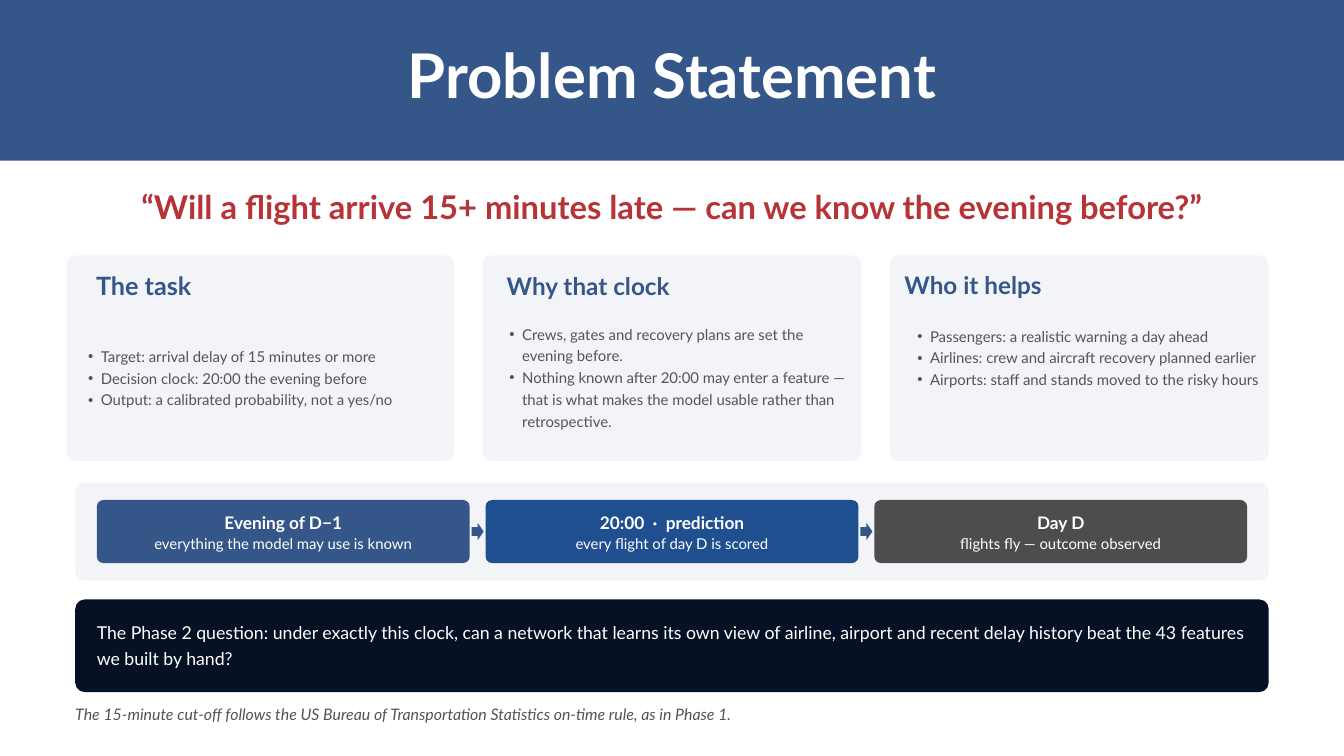
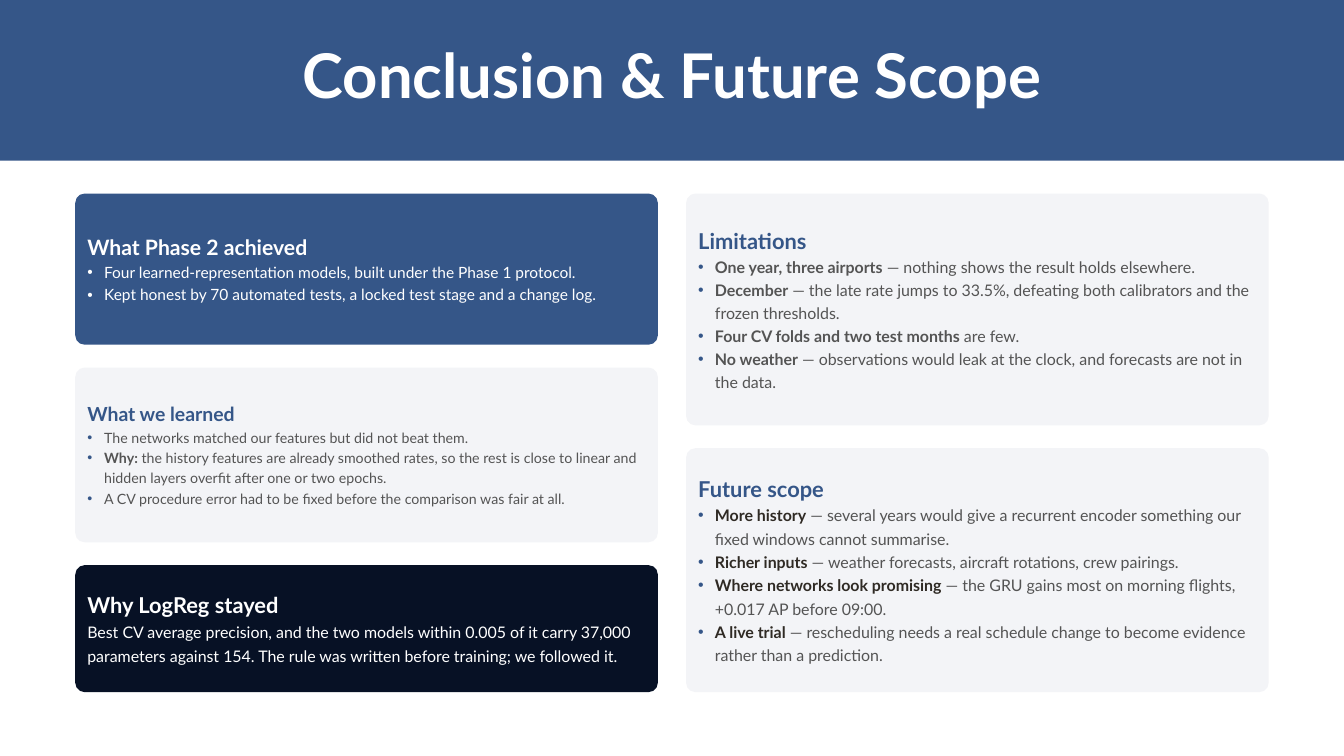
from dataclasses import dataclass, replace
from typing import NamedTuple, Optional

from lxml import etree
from pptx import Presentation
from pptx.dml.color import RGBColor
from pptx.enum.shapes import MSO_SHAPE
from pptx.enum.text import MSO_ANCHOR, MSO_AUTO_SIZE, PP_ALIGN
from pptx.oxml.ns import qn
from pptx.util import Inches, Pt

RECTANGLE = MSO_SHAPE.RECTANGLE
ROUNDED = MSO_SHAPE.ROUNDED_RECTANGLE
ARROW = MSO_SHAPE.RIGHT_ARROW
TOP, MIDDLE = MSO_ANCHOR.TOP, MSO_ANCHOR.MIDDLE
LEFT, CENTER = PP_ALIGN.LEFT, PP_ALIGN.CENTER
NO_FIT = MSO_AUTO_SIZE.NONE

FONT = "Lato"
COLORS = {
    "blue": "355688",
    "deep_blue": "1F4F8F",
    "navy": "071125",
    "charcoal": "4D4D4D",
    "pale": "F3F4F7",
    "white": "FFFFFF",
    "red": "B63338",
    "gray": "545454",
    "ink": "2F2A24",
}
COMPARISON_LAYOUT = 4
MARGIN = 1.12
CONTENT_WIDTH = 17.76
CARD_RADIUS = 0.14


class Box(NamedTuple):
    left: float
    top: float
    width: float
    height: float

    def lengths(self):
        return [Inches(value) for value in self]


@dataclass(frozen=True)
class Style:
    size: float
    leading: float
    color: str
    bold: bool = False
    italic: bool = False
    align: PP_ALIGN = LEFT


@dataclass(frozen=True)
class Bullet:
    margin: float
    hang: float
    level: int = 0
    color: Optional[str] = None


@dataclass(frozen=True)
class Line:
    """A paragraph: an optional bold lead-in, then the text."""
    text: str
    style: Style
    bullet: Optional[Bullet] = None
    lead: str = ""
    lead_color: str = "gray"


class Topic(NamedTuple):
    card: Box
    heading: str
    heading_box: Box
    heading_style: Style
    list_box: Box
    points: list[str]


class Step(NamedTuple):
    when: str
    what: str
    fill: str


class Panel(NamedTuple):
    heading: str
    height: float
    fill: str
    heading_style: Style
    body_style: Style
    points: list[tuple[str, str]]
    lead_color: str = "gray"
    bulleted: bool = True


TITLE = Style(66, 85.5, "white", bold=True, align=CENTER)
QUESTION = Style(35, 51.2, "red", bold=True, align=CENTER)
TOPIC_HEADING = Style(26, 38.1, "blue", bold=True)
TOPIC_POINT = Style(16, 23.4, "gray")
STEP_WHEN = Style(18.5, 24, "white", bold=True, align=CENTER)
STEP_WHAT = Style(16, 20.7, "white", align=CENTER)
CLOSING = Style(19, 27.8, "white")
FOOTNOTE = Style(17, 23.5, "gray", italic=True)
PANEL_HEADING = Style(23.4, 30.9, "blue", bold=True)
PANEL_BODY = Style(17.1, 25, "gray")
TOPIC_BULLET = Bullet(margin=0.38, hang=0.19, level=1)

TOPICS = [
    Topic(Box(0.99, 3.8, 5.77, 3.06), "The task", Box(1.43, 3.92, 2, 0.56),
          replace(TOPIC_HEADING, size=27, leading=39.5), Box(1.12, 5.11, 5.12, 0.97),
          ["Target: arrival delay of 15 minutes or more",
           "Decision clock: 20:00 the evening before",
           "Output: a calibrated probability, not a yes/no"]),
    Topic(Box(7.18, 3.8, 5.64, 3.06), "Why that clock", Box(7.54, 3.94, 3, 0.54),
          TOPIC_HEADING, Box(7.39, 4.78, 5.21, 1.62),
          ["Crews, gates and recovery plans are set the evening before.",
           "Nothing known after 20:00 may enter a feature — that is what makes the model "
           "usable rather than retrospective."]),
    Topic(Box(13.24, 3.8, 5.64, 3.06), "Who it helps", Box(13.46, 3.93, 3, 0.54),
          TOPIC_HEADING, Box(13.46, 4.81, 5.35, 1.62),
          ["Passengers: a realistic warning a day ahead",
           "Airlines: crew and aircraft recovery planned earlier",
           "Airports: staff and stands moved to the risky hours"]),
]

STEPS = [
    Step("Evening of D−1", "everything the model may use is known", "blue"),
    Step("20:00  ·  prediction", "every flight of day D is scored", "deep_blue"),
    Step("Day D", "flights fly — outcome observed", "charcoal"),
]

RESULTS = [
    Panel("What Phase 2 achieved", 2.25, "blue",
          Style(22.7, 30, "white", bold=True), Style(16.6, 23.9, "white"),
          [("", "Four learned-representation models, built under the Phase 1 protocol."),
           ("", "Kept honest by 70 automated tests, a locked test stage and a change log.")]),
    Panel("What we learned", 2.6, "pale",
          Style(20.8, 27.4, "blue", bold=True), Style(15.2, 21.9, "gray"),
          [("", "The networks matched our features but did not beat them."),
           ("Why:", " the history features are already smoothed rates, so the rest is close "
            "to linear and hidden layers overfit after one or two epochs."),
           ("", "A CV procedure error had to be fixed before the comparison was fair at all.")]),
    Panel("Why LogReg stayed", 1.89, "navy",
          replace(PANEL_HEADING, color="white"), Style(17.1, 25.9, "white"),
          [("", "Best CV average precision, and the two models within 0.005 of it carry 37,000 "
            "parameters against 154. The rule was written before training; we followed it.")],
          bulleted=False),
]

OUTLOOK = [
    Panel("Limitations", 3.45, "pale", PANEL_HEADING, replace(PANEL_BODY, leading=24.6),
          [("One year, three airports", " — nothing shows the result holds elsewhere."),
           ("December", " — the late rate jumps to 33.5%, defeating both calibrators and the "
            "frozen thresholds."),
           ("Four CV folds and two test months", " are few."),
           ("No weather", " — observations would leak at the clock, and forecasts are not in "
            "the data.")]),
    Panel("Future scope", 3.63, "pale", PANEL_HEADING, PANEL_BODY,
          [("More history", " — several years would give a recurrent encoder something our "
            "fixed windows cannot summarise."),
           ("Richer inputs", " — weather forecasts, aircraft rotations, crew pairings."),
           ("Where networks look promising", " — the GRU gains most on morning flights, "
            "+0.017 AP before 09:00."),
           ("A live trial", " — rescheduling needs a real schedule change to become evidence "
            "rather than a prediction.")],
          lead_color="ink"),
]


def rgb(name: str) -> RGBColor:
    return RGBColor.from_string(COLORS[name])


def set_bullet(paragraph, bullet: Optional[Bullet]) -> None:
    """Gives the paragraph its bullet and indent, or clears inherited ones."""
    properties = paragraph._p.get_or_add_pPr()
    margin, hang = (bullet.margin, bullet.hang) if bullet else (0, 0)
    properties.set("marL", str(Inches(margin)))
    properties.set("indent", str(-Inches(hang)))
    if bullet is None:
        etree.SubElement(properties, qn("a:buNone"))
        return
    paragraph.level = bullet.level
    if bullet.color:
        color = etree.SubElement(properties, qn("a:buClr"))
        etree.SubElement(color, qn("a:srgbClr"), val=COLORS[bullet.color])
    etree.SubElement(properties, qn("a:buFont"), typeface="Arial")
    etree.SubElement(properties, qn("a:buChar"), char="•")


def write(frame, lines: list[Line], inset: float = 0, anchor: MSO_ANCHOR = TOP) -> None:
    frame.word_wrap = True
    frame.auto_size = NO_FIT
    frame.vertical_anchor = anchor
    frame.margin_left = frame.margin_right = Inches(inset)
    frame.margin_top = frame.margin_bottom = Inches(inset)
    for index, line in enumerate(lines):
        paragraph = frame.add_paragraph() if index else frame.paragraphs[0]
        style = line.style
        set_bullet(paragraph, line.bullet)
        paragraph.alignment = style.align
        paragraph.line_spacing = Pt(style.leading)
        paragraph.space_before = Pt(0)
        font = paragraph.font
        font.name, font.size = FONT, Pt(style.size)
        font.bold, font.italic = style.bold, style.italic
        font.color.rgb = rgb(style.color)
        if line.lead:
            lead = paragraph.add_run()
            lead.text = line.lead
            lead.font.bold = True
            lead.font.color.rgb = rgb(line.lead_color)
        paragraph.add_run().text = line.text


def add_filled(slide, kind: MSO_SHAPE, box: Box, fill: str, radius: float = 0):
    shape = slide.shapes.add_shape(kind, *box.lengths())
    shape.shadow.inherit = False
    shape.fill.solid()
    shape.fill.fore_color.rgb = rgb(fill)
    shape.line.fill.background()
    if radius:
        shape.adjustments[0] = radius / min(box.width, box.height)
    return shape


def add_text(slide, box: Box, lines: list[Line], inset: float = 0,
             anchor: MSO_ANCHOR = TOP) -> None:
    write(slide.shapes.add_textbox(*box.lengths()).text_frame, lines, inset, anchor)


def fill_placeholder(slide, idx: int, box: Box, lines: list[Line], inset: float = 0,
                     anchor: MSO_ANCHOR = TOP) -> None:
    """Moves a placeholder to the box, in front of what is drawn so far."""
    holder = slide.placeholders[idx]
    holder.left, holder.top, holder.width, holder.height = box.lengths()
    holder.element.getparent().append(holder.element)
    write(holder.text_frame, lines, inset, anchor)


def add_titled_slide(deck, title: str):
    slide = deck.slides.add_slide(deck.slide_layouts[COMPARISON_LAYOUT])
    add_filled(slide, RECTANGLE, Box(-0.02, -0.02, 20.04, 2.41), "blue")
    fill_placeholder(slide, 0, Box(MARGIN, 0.46, CONTENT_WIDTH, 1.44), [Line(title, TITLE)])
    return slide


def add_timeline(slide) -> None:
    add_filled(slide, ROUNDED, Box(MARGIN, 7.18, CONTENT_WIDTH, 1.46), "pale", CARD_RADIUS)
    left, top, width, height = 1.44, 7.44, 5.55, 0.94
    gap = (17.12 - len(STEPS) * width) / (len(STEPS) - 1)
    arrow_width, arrow_height = 0.18, 0.26
    for index, step in enumerate(STEPS):
        x = left + index * (width + gap)
        block = add_filled(slide, ROUNDED, Box(x, top, width, height), step.fill, 0.1)
        write(block.text_frame, [Line(step.when, STEP_WHEN), Line(step.what, STEP_WHAT)],
              0.06, MIDDLE)
        if index:
            add_filled(slide, ARROW, Box(x - (gap + arrow_width) / 2,
                                         top + (height - arrow_height) / 2,
                                         arrow_width, arrow_height), "blue")


def add_problem_slide(deck) -> None:
    slide = add_titled_slide(deck, "Problem Statement")
    question = "“Will a flight arrive 15+ minutes late — can we know the evening before?”"
    fill_placeholder(slide, 1, Box(MARGIN, 2.65, CONTENT_WIDTH, 0.95),
                     [Line(question, QUESTION)])
    for idx, topic in enumerate(TOPICS, start=2):
        add_filled(slide, ROUNDED, topic.card, "pale", CARD_RADIUS)
        add_text(slide, topic.heading_box, [Line(topic.heading, topic.heading_style)])
        fill_placeholder(slide, idx, topic.list_box,
                         [Line(point, TOPIC_POINT, TOPIC_BULLET) for point in topic.points])
    add_timeline(slide)
    add_filled(slide, ROUNDED, Box(MARGIN, 8.92, CONTENT_WIDTH, 1.38), "navy", CARD_RADIUS)
    add_text(slide, Box(1.44, 9.18, 17.12, 0.78), [Line(
        "The Phase 2 question: under exactly this clock, can a network that learns its own view "
        "of airline, airport and recent delay history beat the 43 features we built by hand?",
        CLOSING)])
    add_text(slide, Box(MARGIN, 10.44, CONTENT_WIDTH, 0.48), [Line(
        "The 15-minute cut-off follows the US Bureau of Transportation Statistics on-time rule, "
        "as in Phase 1.", FOOTNOTE)])


def add_conclusion_slide(deck) -> None:
    slide = add_titled_slide(deck, "Conclusion & Future Scope")
    width, gap, lift, inset = 8.67, 0.34, 0.04, 0.18
    list_ids = iter((1, 2, 3, 4))
    for left, panels in ((MARGIN, RESULTS), (10.21, OUTLOOK)):
        top = 2.88
        for panel in panels:
            add_filled(slide, ROUNDED, Box(left, top, width, panel.height), panel.fill,
                       CARD_RADIUS)
            bullet = Bullet(0.25, 0.25, color=panel.heading_style.color)
            lines = [Line(panel.heading, panel.heading_style)]
            lines += [Line(text, panel.body_style, bullet if panel.bulleted else None,
                           lead, panel.lead_color) for lead, text in panel.points]
            text_box = Box(left, top - lift, width, panel.height + lift)
            if panel.bulleted:
                fill_placeholder(slide, next(list_ids), text_box, lines, inset, MIDDLE)
            else:
                add_text(slide, text_box, lines, inset, MIDDLE)
            top += panel.height + gap


def main() -> None:
    deck = Presentation()
    deck.slide_width, deck.slide_height = Inches(20), Inches(11.25)
    add_problem_slide(deck)
    add_conclusion_slide(deck)
    deck.save("out.pptx")


if __name__ == "__main__":
    main()
